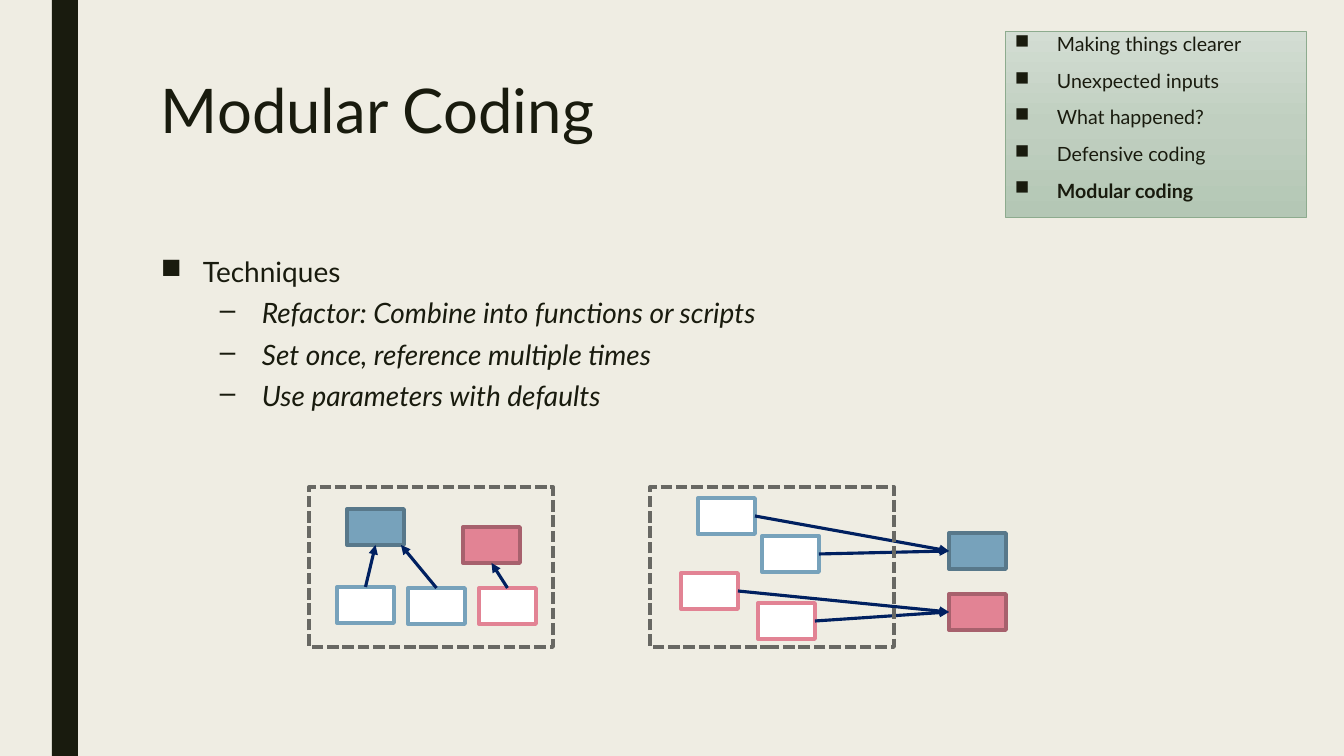
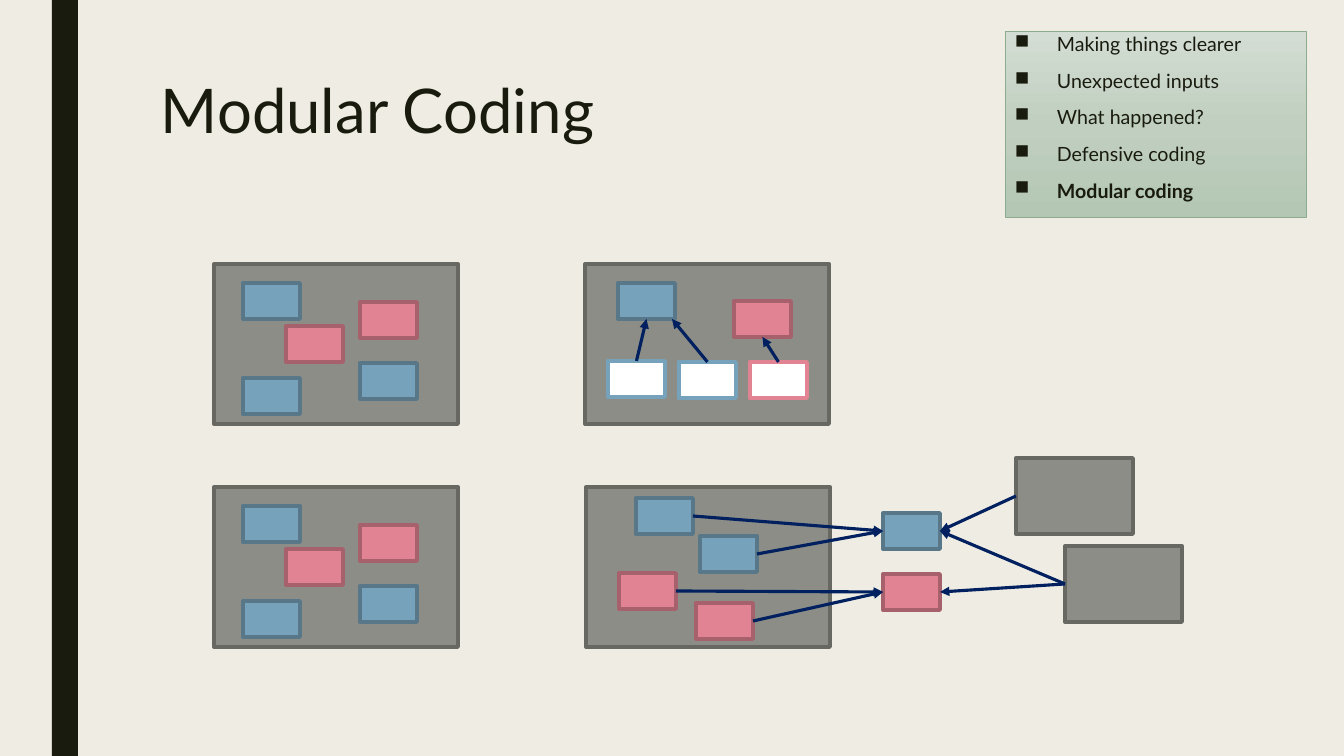
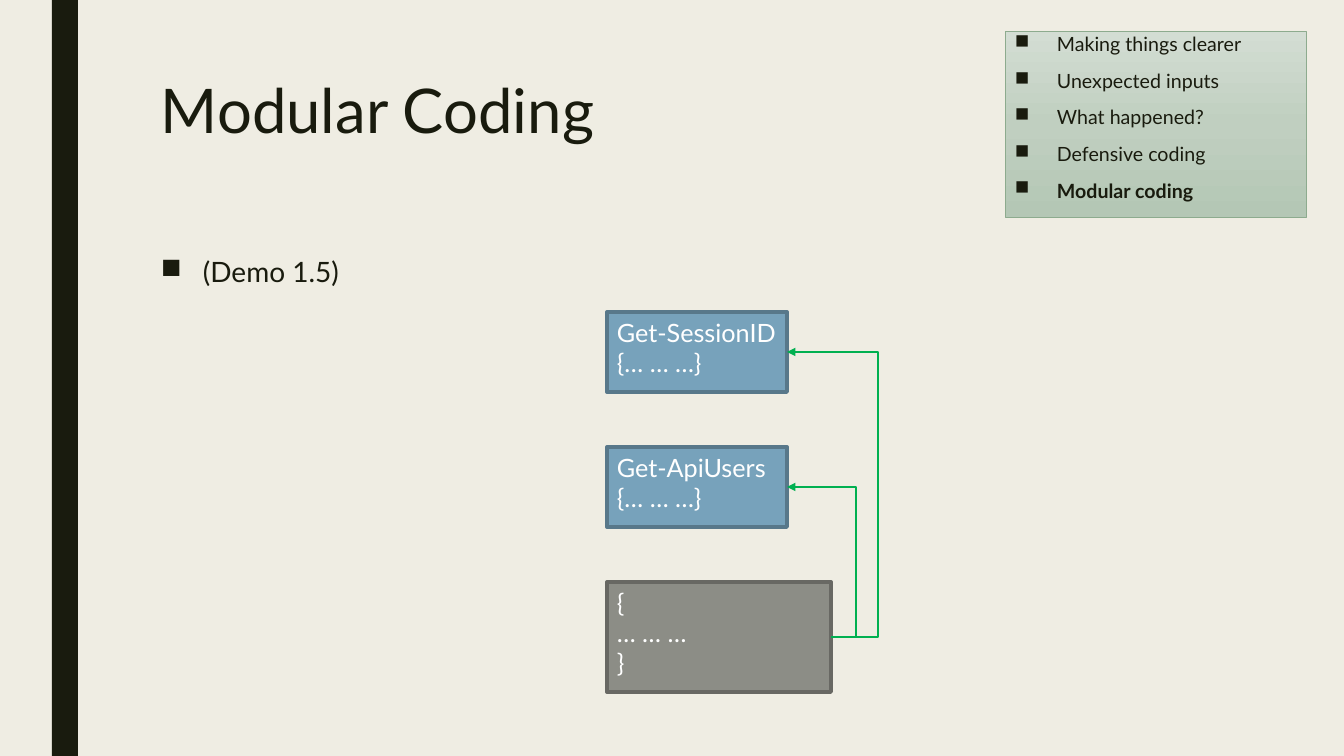
from copy import deepcopy
from dataclasses import dataclass

from lxml.etree import SubElement
from pptx import Presentation
from pptx.dml.color import RGBColor
from pptx.enum.dml import MSO_LINE_DASH_STYLE as Dash
from pptx.enum.shapes import MSO_CONNECTOR as Link, MSO_SHAPE as Preset
from pptx.enum.text import MSO_ANCHOR as Anchor, PP_ALIGN as Align
from pptx.oxml.ns import qn
from pptx.shapes.autoshape import Shape
from pptx.shapes.connector import Connector
from pptx.slide import Slide
from pptx.text.text import TextFrame
from pptx.util import Emu, Pt

FONT = "Lato"
COLORS = {
    "paper": "EFEDE3", "ink": "191B0E", "white": "FFFFFF",
    "blue": "77A2BB", "blue_edge": "58788A",
    "red": "E28394", "red_edge": "A7616D",
    "gray": "8C8D86", "gray_edge": "686863",
    "arrow": "002060", "call": "00B050",
    "agenda_top": "D3DDD3", "agenda_mid": "C0CFC0",
    "agenda_low": "B4C7B5", "agenda_edge": "8DAB8E",
}
TOP, LEFT, BOTTOM, RIGHT = range(4)
NODE_W, NODE_H = 57, 36
PANEL_W, PANEL_H = 244, 160
MODULE_W, MODULE_H = 117, 76


@dataclass(frozen=True)
class Look:
    fill: str | None
    edge: str | None
    width: float = 2.75
    dash: Dash | None = None


@dataclass(frozen=True)
class TextStyle:
    size: float
    color: str
    line: float = 1.0
    before: float = 0
    after: float = 0
    bullet: str = ""
    indent: int = 0
    italic: bool = False


@dataclass(frozen=True)
class Line:
    text: str
    style: TextStyle
    bold: bool = False


@dataclass(frozen=True)
class Node:
    dx: int
    dy: int
    hue: str


@dataclass(frozen=True)
class CodeBlock:
    y: int
    w: int
    h: int
    look: Look
    lines: tuple[str, ...]


DEFINED = {hue: Look(hue, f"{hue}_edge") for hue in ("blue", "red")}
CALLER = {hue: Look("white", hue) for hue in DEFINED}
SOLID = Look("gray", "gray_edge")
DASHED = Look(None, "gray_edge", dash=Dash.SQUARE_DOT)

TITLE = TextStyle(44, "ink", line=0.89)
TOPIC = TextStyle(20, "ink", 0.94, 10, 2, "\u25a0", 42)
DETAIL = TextStyle(20, "ink", 0.94, 5, 2, "\u2013", 101, italic=True)
AGENDA = TextStyle(14, "ink", 0.84, 10, 2, "\u25a0", 42)
CODE = TextStyle(18, "white")

AGENDA_ITEMS = ("Making things clearer", "Unexpected inputs", "What happened?",
                "Defensive coding", "Modular coding")
SCATTERED = (Node(0, 0, "blue"), Node(117, 19, "red"), Node(43, 43, "red"),
             Node(117, 80, "blue"), Node(0, 95, "blue"))
INNER_CALLERS = (Node(-10, 78, "blue"), Node(61, 79, "blue"), Node(132, 79, "red"))
OUTER_CALLERS = (Node(0, 0, "blue"), Node(64, 38, "blue"),
                 Node(-17, 75, "red"), Node(60, 105, "red"))


def px(pixels: float) -> Emu:
    return Emu(round(pixels * 914400 / 100.8))


def rgb(name: str) -> RGBColor:
    return RGBColor.from_string(COLORS[name])


def write(frame: TextFrame, lines: list[Line]) -> None:
    frame.word_wrap = True
    frame.vertical_anchor = Anchor.TOP
    for index, line in enumerate(lines):
        paragraph = frame.add_paragraph() if index else frame.paragraphs[0]
        style = line.style
        paragraph.text = line.text
        paragraph.alignment = Align.LEFT
        paragraph.line_spacing = style.line
        paragraph.space_before = Pt(style.before)
        paragraph.space_after = Pt(style.after)
        if style.bullet:
            properties = paragraph._p.get_or_add_pPr()
            properties.set("marL", str(px(style.indent)))
            properties.set("indent", str(px(-42)))
            SubElement(properties, qn("a:buChar"), char=style.bullet)
        font = paragraph.font
        font.name = FONT
        font.size = Pt(style.size)
        font.color.rgb = rgb(style.color)
        font.bold = line.bold
        font.italic = style.italic


def add_text(slide: Slide, x: int, y: int, w: int, h: int, lines: list[Line]) -> None:
    write(slide.shapes.add_textbox(px(x), px(y), px(w), px(h)).text_frame, lines)


def add_box(slide: Slide, x: int, y: int, w: int, h: int, look: Look) -> Shape:
    box = slide.shapes.add_shape(Preset.RECTANGLE, px(x), px(y), px(w), px(h))
    box.shadow.inherit = False
    if look.fill:
        box.fill.solid()
        box.fill.fore_color.rgb = rgb(look.fill)
    else:
        box.fill.background()
    if look.edge:
        box.line.color.rgb = rgb(look.edge)
        box.line.width = Pt(look.width)
        if look.dash:
            box.line.dash_style = look.dash
    else:
        box.line.fill.background()
    return box


def add_node(slide: Slide, x: int, y: int, look: Look) -> Shape:
    return add_box(slide, x, y, NODE_W, NODE_H, look)


def add_panel(slide: Slide, x: int, y: int, look: Look = SOLID) -> None:
    add_box(slide, x, y, PANEL_W, PANEL_H, look)


def style_arrow(arrow: Connector, color: str, width: float) -> None:
    arrow.line.color.rgb = rgb(color)
    arrow.line.width = Pt(width)
    properties = arrow._element.spPr
    SubElement(properties.find(qn("a:ln")), qn("a:tailEnd"), type="triangle")
    SubElement(properties, qn("a:effectLst"))


def add_arrow(slide: Slide, source: Shape, source_side: int, target: Shape,
              target_side: int | None, end: tuple[int, int] = (0, 0)) -> None:
    arrow = slide.shapes.add_connector(Link.STRAIGHT, 0, 0, px(end[0]), px(end[1]))
    arrow.begin_connect(source, source_side)
    if target_side is not None:
        arrow.end_connect(target, target_side)
    style_arrow(arrow, "arrow", 2.25)


def add_call(slide: Slide, start: tuple[int, int], end: tuple[int, int], bend: int) -> None:
    call = slide.shapes.add_connector(Link.ELBOW, *map(px, start + end))
    guides = call._element.spPr.find(f"{qn('a:prstGeom')}/{qn('a:avLst')}")
    ratio = round((bend - start[0]) / (end[0] - start[0]) * 100000)
    SubElement(guides, qn("a:gd"), name="adj1", fmla=f"val {ratio}")
    style_arrow(call, "call", 2)


def add_agenda(slide: Slide, current: str) -> None:
    agenda = add_box(slide, 1005, 31, 301, 186, Look(None, "agenda_edge", 0.5))
    agenda.fill.gradient()
    agenda.fill.gradient_angle = 270
    stops = agenda._element.spPr.find(f"{qn('a:gradFill')}/{qn('a:gsLst')}")
    stops.insert(1, deepcopy(stops[0]))
    shades = ("agenda_top", "agenda_mid", "agenda_low")
    for index, (stop, shade) in enumerate(zip(agenda.fill.gradient_stops, shades)):
        stop.position = index / 2
        stop.color.rgb = rgb(shade)
    write(agenda.text_frame, [Line(item, AGENDA, item == current) for item in AGENDA_ITEMS])


def start_slide(deck: Presentation) -> Slide:
    slide = deck.slides.add_slide(deck.slide_layouts[6])
    slide.background.fill.solid()
    slide.background.fill.fore_color.rgb = rgb("paper")
    add_box(slide, 52, 0, 26, 756, Look("ink", None))
    add_text(slide, 151, 76, 1058, 163, [Line("Modular Coding", TITLE)])
    add_agenda(slide, "Modular coding")
    return slide


def add_body(slide: Slide, lines: list[Line]) -> None:
    add_text(slide, 151, 252, 1058, 395, lines)


def add_scattered(slide: Slide, x: int, y: int) -> None:
    add_panel(slide, x, y)
    for node in SCATTERED:
        add_node(slide, x + 29 + node.dx, y + 19 + node.dy, DEFINED[node.hue])


def add_inner_calls(slide: Slide, x: int, y: int) -> None:
    functions = {"blue": add_node(slide, x, y, DEFINED["blue"]),
                 "red": add_node(slide, x + 116, y + 18, DEFINED["red"])}
    for index, node in enumerate(INNER_CALLERS):
        caller = add_node(slide, x + node.dx, y + node.dy, CALLER[node.hue])
        side = None if index == 1 else BOTTOM
        add_arrow(slide, caller, TOP, functions[node.hue], side, (x + 54, y + NODE_H))


def add_outer_calls(slide: Slide, x: int, y: int, function_x: int, function_y: int,
                    looks: dict[str, Look]) -> dict[str, Shape]:
    functions = {hue: add_node(slide, function_x, function_y + 61 * row, DEFINED[hue])
                 for row, hue in enumerate(DEFINED)}
    for node in OUTER_CALLERS:
        caller = add_node(slide, x + node.dx, y + node.dy, looks[node.hue])
        add_arrow(slide, caller, RIGHT, functions[node.hue], LEFT)
    return functions


def build_techniques(deck: Presentation) -> None:
    slide = start_slide(deck)
    add_body(slide, [
        Line("Techniques", TOPIC),
        Line("Refactor: Combine into functions or scripts", DETAIL),
        Line("Set once, reference multiple times", DETAIL),
        Line("Use parameters with defaults", DETAIL),
    ])
    add_inner_calls(slide, 347, 509)
    add_outer_calls(slide, 698, 498, 949, 533, CALLER)
    for x in (309, 650):
        add_panel(slide, x, 487, DASHED)


def build_steps(deck: Presentation) -> None:
    slide = start_slide(deck)
    for y in (264, 487):
        add_scattered(slide, 214, y)
    add_panel(slide, 585, 264)
    add_inner_calls(slide, 618, 283)
    add_panel(slide, 586, 487)
    functions = add_outer_calls(slide, 636, 498, 883, 513, DEFINED)
    upper, lower = (add_box(slide, x, y, MODULE_W, MODULE_H, SOLID)
                    for x, y in ((1016, 458), (1065, 546)))
    for module, hue in ((lower, "red"), (lower, "blue"), (upper, "blue")):
        add_arrow(slide, module, LEFT, functions[hue], RIGHT)


def build_demo(deck: Presentation) -> None:
    slide = start_slide(deck)
    add_body(slide, [Line("(Demo 1.5)", TOPIC)])
    dots = "\u2026 \u2026 \u2026"
    blocks = (
        CodeBlock(312, 180, 80, DEFINED["blue"], (f"Get-SessionID {{{dots}}}",)),
        CodeBlock(447, 180, 80, DEFINED["blue"], ("Get-ApiUsers", f"{{{dots}}}")),
        CodeBlock(582, 224, 110, SOLID, ("{", dots, "}")),
    )
    for block in blocks:
        box = add_box(slide, 607, block.y, block.w, block.h, block.look)
        write(box.text_frame, [Line(text, CODE) for text in block.lines])
    for function_y, bend in ((487, 856), (352, 878)):
        add_call(slide, (831, 637), (787, function_y), bend)


def main() -> None:
    deck = Presentation()
    deck.slide_width, deck.slide_height = px(1344), px(756)
    for build in (build_techniques, build_steps, build_demo):
        build(deck)
    deck.save("out.pptx")


main()
